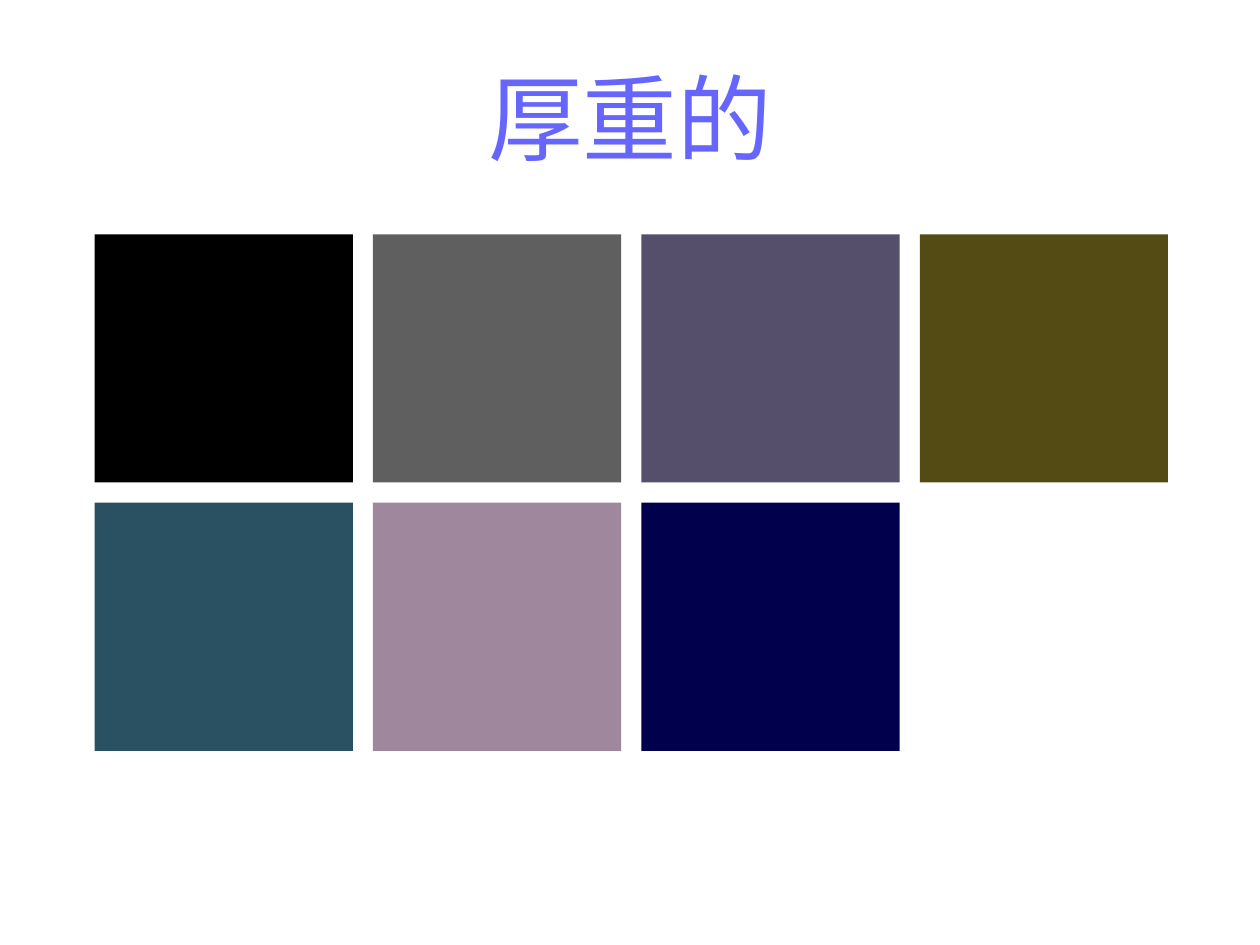
from pptx import Presentation, util as u
from pptx.dml.color import RGBColor
from pptx.enum import shapes, text

WIDTH, HEIGHT = 10, 7.5
COLUMN_WIDTHS = [2.05, 1.97, 2.05, 1.97]
ROW_HEIGHT = 1.97
GAP = 0.16
GRID_LEFT, GRID_TOP = 0.75, 1.86
SWATCH_ROWS = [
    ["000000", "5F5F5F", "564F6B", "544B14"],
    ["2A5161", "9F889E", "00004C"],
]


def rgb(value):
    return RGBColor.from_string(value)


deck = Presentation()
deck.slide_width, deck.slide_height = u.Inches(WIDTH), u.Inches(HEIGHT)
slide = deck.slides.add_slide(deck.slide_layouts[5])

heading = slide.shapes.title
heading_place = {
    "left": 0.05 * WIDTH,
    "top": 0.04 * HEIGHT,
    "width": 0.9 * WIDTH,
    "height": HEIGHT / 6,
}
for side, length in heading_place.items():
    setattr(heading, side, u.Inches(length))
heading.text_frame.text = "厚重的"
heading.text_frame.vertical_anchor = text.MSO_ANCHOR.MIDDLE
heading_line = heading.text_frame.paragraphs[0]
heading_line.alignment = text.PP_ALIGN.CENTER
heading_font = heading_line.runs[0].font
for attribute, value in {"name": "Arial", "size": u.Pt(54)}.items():
    setattr(heading_font, attribute, value)
heading_font.color.rgb = rgb("6666FF")

for row, colours in enumerate(SWATCH_ROWS):
    top = GRID_TOP + row * (ROW_HEIGHT + GAP)
    left = GRID_LEFT
    for colour, width in zip(colours, COLUMN_WIDTHS):
        swatch = slide.shapes.add_shape(
            shapes.MSO_SHAPE.RECTANGLE,
            u.Inches(left), u.Inches(top), u.Inches(width), u.Inches(ROW_HEIGHT))
        swatch.shadow.inherit = False
        swatch.fill.solid()
        swatch.fill.fore_color.rgb = rgb(colour)
        swatch.line.fill.background()
        left += width + GAP

deck.save("out.pptx")
